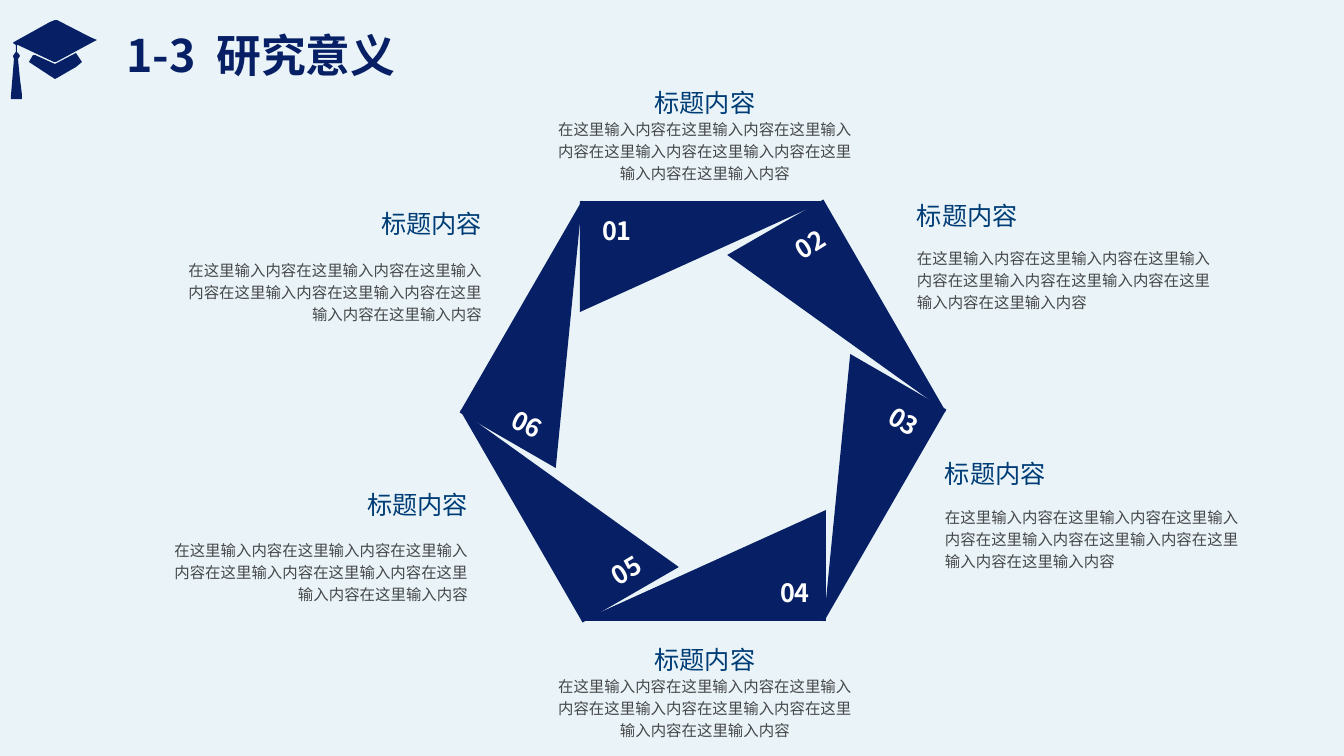
import math

import pptx
import pptx.dml.color
import pptx.enum.text
import pptx.oxml.ns
import pptx.util

PX = 914400 / 100.8
FONT = "Noto Sans CJK SC"
COLORS = {
    "background": "EAF4F8",
    "navy": "071F65",
    "heading": "003D76",
    "body": "454749",
    "number": "FFFFFF",
}
ALIGN = pptx.enum.text.PP_ALIGN
ANCHOR = pptx.enum.text.MSO_ANCHOR

HEADING = "标题内容"
BODY = "在这里输入内容" * 7
CAPTION_WIDTH = 300

# Left, heading top, body top, alignment; clockwise from the top
CAPTIONS = [
    (555, 88, 116, ALIGN.CENTER),
    (917, 201, 245, ALIGN.LEFT),
    (945, 459, 504, ALIGN.LEFT),
    (555, 645, 673, ALIGN.CENTER),
    (168, 490, 537, ALIGN.RIGHT),
    (182, 209, 257, ALIGN.RIGHT),
]
# Left, top, rotation
NUMBERS = [
    (580, 199, 0),
    (773, 213, 328.3),
    (867, 390, 30.6),
    (758, 561, 0),
    (589, 539, 328.7),
    (490, 393, 27.4),
]
HEXAGON_CENTER = (703, 411)
BLADE = [(-123, -210), (122, -210), (-123, -99)]  # relative to the centre

CAP_TOP = [
    (17, 45), (17, 52), (19, 54), (20, 56), (18, 59), (20, 79), (22, 95),
    (22, 99), (11, 99), (11, 95), (13, 71), (14, 59), (13, 56), (15, 53),
    (16, 52), (16, 45), (13, 43), (14, 42), (50, 22), (55, 20), (57, 20),
    (90, 37), (97, 40), (93, 42), (56, 62), (54, 62), (18, 45),
]
CAP_BASE = [
    (29, 62), (33, 55), (35, 55), (55, 64), (74, 54), (76, 53),
    (82, 62), (76, 67), (57, 78), (55, 79),
]


def px(value):
    return pptx.util.Emu(round(value * PX))


def rgb(name):
    return pptx.dml.color.RGBColor.from_string(COLORS[name])


def place(s, left, top, width, height):
    s.left, s.top, s.width, s.height = map(px, (left, top, width, height))


def format_paragraph(p, size, color, align, bold=False, spacing=1.0):
    p.alignment = align
    p.line_spacing = spacing
    font = p.font
    font.size = pptx.util.Pt(size)
    font.bold = bold
    font.color.rgb = rgb(color)
    font.name = FONT
    defaults = p._p.pPr.find(pptx.oxml.ns.qn("a:defRPr"))
    east_asian = defaults.makeelement(pptx.oxml.ns.qn("a:ea"), {"typeface": FONT})
    defaults.find(pptx.oxml.ns.qn("a:latin")).addnext(east_asian)


def add_polygon(slide, points):
    corners = [(px(x), px(y)) for x, y in points]
    builder = slide.shapes.build_freeform(*corners[0])
    builder.add_line_segments(corners[1:], close=True)
    s = builder.convert_to_shape()
    s.shadow.inherit = False
    s.fill.solid()
    s.fill.fore_color.rgb = rgb("navy")
    s.line.fill.background()


def add_text(slide, text, box, anchor, size, color, align, **style):
    s = slide.shapes.add_textbox(*map(px, box))
    tf = s.text_frame
    tf.word_wrap = True
    tf.vertical_anchor = anchor
    tf.margin_left = tf.margin_right = tf.margin_top = tf.margin_bottom = 0
    p = tf.paragraphs[0]
    p.text = text
    format_paragraph(p, size, color, align, **style)
    return s


def add_title(slide):
    s = slide.shapes.title
    place(s, 116, 9, 1219, 78)
    tf = s.text_frame
    tf.auto_size = pptx.enum.text.MSO_AUTO_SIZE.NONE
    tf.vertical_anchor = ANCHOR.BOTTOM
    p = tf.paragraphs[0]
    for part in ("1-3", " ", "研究意义"):
        r = p.add_run()
        r.text = part
        if part == " ":
            r.font._element.set("spc", "750")  # widens the gap after the number
    format_paragraph(p, 32, "navy", ALIGN.LEFT, bold=True, spacing=0.9)


def blade_points(index):
    """Turn the first blade clockwise by index sixths about the hexagon's centre."""
    angle = math.radians(60 * index)
    cos, sin = math.cos(angle), math.sin(angle)
    cx, cy = HEXAGON_CENTER
    return [(cx + x * cos - y * sin, cy + x * sin + y * cos) for x, y in BLADE]


def add_caption(slide, left, heading_top, body_top, align):
    add_text(slide, HEADING, (left, heading_top, CAPTION_WIDTH, 30),
             ANCHOR.BOTTOM, 18, "heading", align)
    add_text(slide, BODY, (left, body_top, CAPTION_WIDTH, 67),
             ANCHOR.MIDDLE, 11, "body", align, spacing=1.2)


def main():
    prs = pptx.Presentation()
    prs.slide_width, prs.slide_height = px(1344), px(756)
    slide = prs.slides.add_slide(prs.slide_layouts[5])
    slide.background.fill.solid()
    slide.background.fill.fore_color.rgb = rgb("background")

    add_title(slide)
    add_polygon(slide, CAP_TOP)
    add_polygon(slide, CAP_BASE)
    for index in range(len(NUMBERS)):
        add_polygon(slide, blade_points(index))
    for index, (left, top, rotation) in enumerate(NUMBERS, start=1):
        s = add_text(slide, f"{index:02d}", (left, top, 74, 62), ANCHOR.MIDDLE,
                     18, "number", ALIGN.CENTER, bold=True)
        s.rotation = rotation
    for caption in CAPTIONS:
        add_caption(slide, *caption)

    prs.save("out.pptx")


if __name__ == "__main__":
    main()
